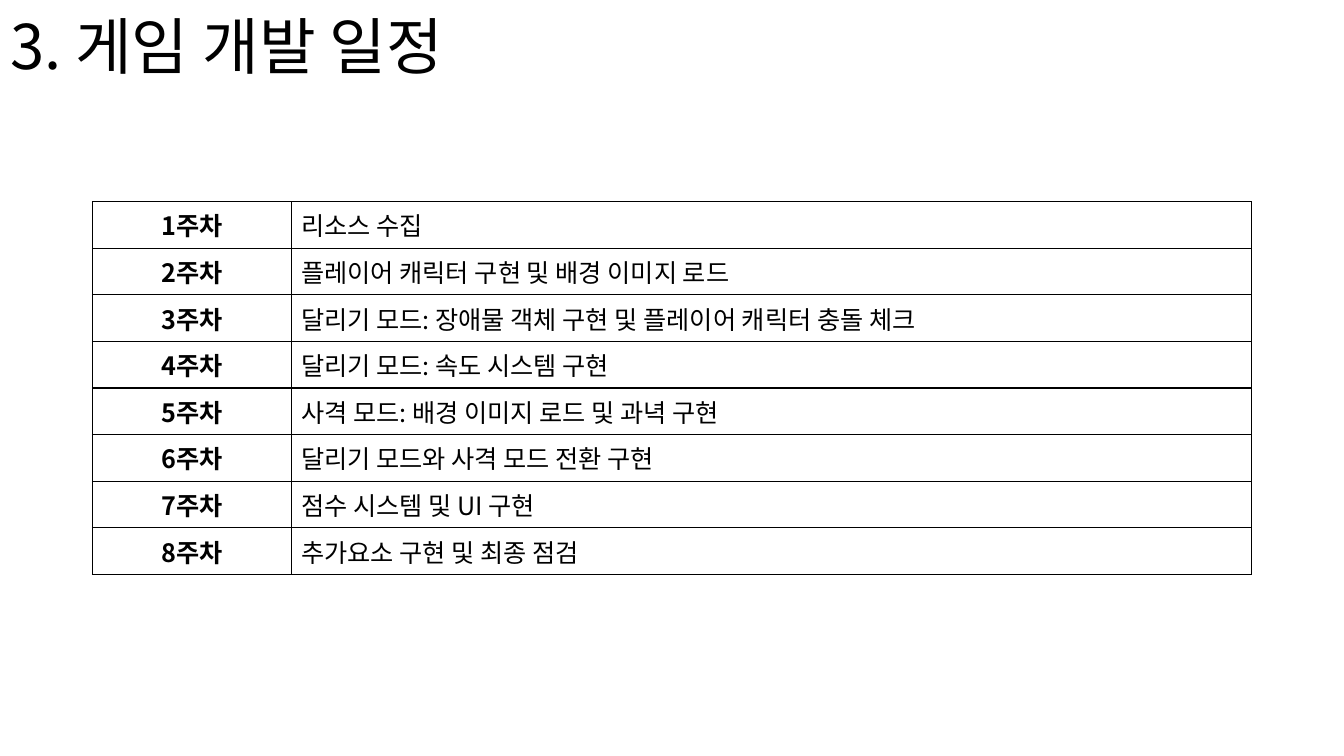
from typing import NamedTuple

from lxml.etree import SubElement
from pptx import Presentation
from pptx.dml.color import RGBColor
from pptx.enum.text import MSO_ANCHOR as Anchor, MSO_AUTO_SIZE as AutoSize, PP_ALIGN as Align
from pptx.oxml.ns import qn
from pptx.util import Pt

FONT = "Noto Sans CJK KR"
BLACK, WHITE = "000000", "FFFFFF"
ROW_HEIGHT = 29.2


class Column(NamedTuple):
    """Width and text format of one schedule column."""
    width: float
    align: Align
    bold: bool


COLUMNS = (Column(142, Align.CENTER, True), Column(686, Align.LEFT, False))
WEEKLY_TASKS = (
    "리소스 수집",
    "플레이어 캐릭터 구현 및 배경 이미지 로드",
    "달리기 모드: 장애물 객체 구현 및 플레이어 캐릭터 충돌 체크",
    "달리기 모드: 속도 시스템 구현",
    "사격 모드: 배경 이미지 로드 및 과녁 구현",
    "달리기 모드와 사격 모드 전환 구현",
    "점수 시스템 및 UI 구현",
    "추가요소 구현 및 최종 점검",
)


def color(value: str) -> RGBColor:
    """Turn a hex string into a colour."""
    return RGBColor.from_string(value)


def write(frame, text: str, *, size: float, align=Align.LEFT, bold=False, spacing=1.0) -> None:
    """Write one formatted paragraph into a text frame."""
    paragraph = frame.paragraphs[0]
    paragraph.alignment = align
    paragraph.line_spacing = spacing
    run = paragraph.add_run()
    run.text = text
    font = run.font
    font.name, font.size, font.bold = FONT, Pt(size), bold
    font.color.rgb = color(BLACK)
    SubElement(run._r.get_or_add_rPr(), qn("a:ea"), typeface=FONT)


def add_borders(cell, line_color: str, width: float) -> None:
    """Draw a solid line on all four sides of a cell."""
    properties = cell._tc.get_or_add_tcPr()
    for side in ("lnL", "lnR", "lnT", "lnB"):
        line = SubElement(properties, qn(f"a:{side}"), w=str(Pt(width)))
        fill = SubElement(line, qn("a:solidFill"))
        SubElement(fill, qn("a:srgbClr"), val=line_color)


def add_title(slide, text: str) -> None:
    """Place and fill the slide title."""
    title = slide.shapes.title
    title.left, title.top, title.width, title.height = Pt(0), Pt(-16.5), Pt(828), Pt(104.4)
    frame = title.text_frame
    frame.auto_size = AutoSize.NONE
    frame.vertical_anchor = Anchor.MIDDLE
    write(frame, text, size=44, spacing=0.9)


def add_schedule(slide, left: float, top: float) -> None:
    """Add the table with one row for each week."""
    count = len(WEEKLY_TASKS)
    width = sum(column.width for column in COLUMNS)
    table = slide.shapes.add_table(count, len(COLUMNS), Pt(left), Pt(top),
                                   Pt(width), Pt(ROW_HEIGHT * count)).table
    table.first_row = table.horz_banding = False
    for table_column, column in zip(table.columns, COLUMNS):
        table_column.width = Pt(column.width)
    for index, task in enumerate(WEEKLY_TASKS):
        table.rows[index].height = Pt(ROW_HEIGHT)
        texts = (f"{index + 1}주차", task)
        for cell, column, text in zip(table.rows[index].cells, COLUMNS, texts):
            add_borders(cell, BLACK, 1)
            cell.fill.solid()
            cell.fill.fore_color.rgb = color(WHITE)
            cell.vertical_anchor = Anchor.MIDDLE
            write(cell.text_frame, text, size=18, align=column.align, bold=column.bold)


presentation = Presentation()
presentation.slide_width, presentation.slide_height = Pt(960), Pt(540)
slide = presentation.slides.add_slide(presentation.slide_layouts[5])
add_title(slide, "3. 게임 개발 일정")
add_schedule(slide, 66, 144)
presentation.save("out.pptx")
